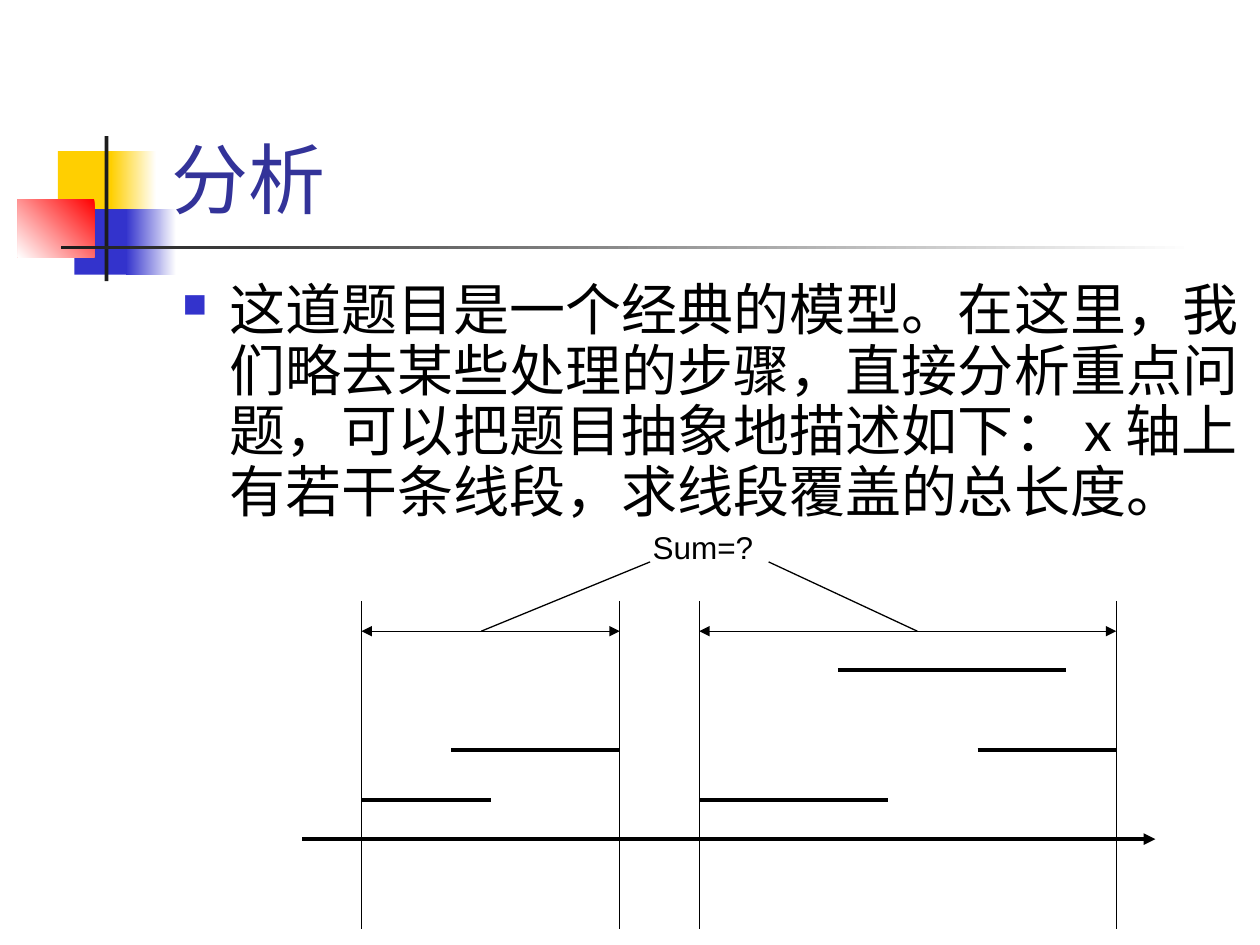
from lxml import etree
from pptx import Presentation
from pptx.dml.color import RGBColor
from pptx.enum import shapes, text
from pptx.oxml.ns import qn
from pptx.util import Pt

WHITE = RGBColor(0xFF, 0xFF, 0xFF)
BLACK = RGBColor(0, 0, 0)
YELLOW = RGBColor(0xFF, 0xCF, 0x01)
BLUE = RGBColor(0x33, 0x33, 0xCC)
RED = RGBColor(0xFF, 0, 0)
CHARCOAL = RGBColor(0x1C, 0x1C, 0x1C)
TITLE_BLUE = RGBColor(0x33, 0x33, 0x99)

THIN, THICK = 0.75, 2.25

# Horizontal extent of each covered stretch, and the segments (left, right, y) inside
STRETCHES = [(206.6, 354.2), (399.6, 637.9)]
SEGMENTS = [
    (206.6, 280.8, 457.2),
    (257.8, 354.2, 428.4),
    (399.6, 507.6, 457.2),
    (478.8, 609.1, 383),
    (558.7, 637.9, 428.4),
]
GUIDE_TOP, GUIDE_BOTTOM = 343.4, 530.6
SPAN_Y, AXIS_Y = 360.7, 479.5
LABEL_LEFT, LABEL_RIGHT, LABEL_BOTTOM = 371.5, 439.2, 321.1


def add_block(slide, left, top, width, height, color, fade_to=None, angle=180):
    """Rectangle in one colour, or fading from color to fade_to (angle anticlockwise)."""
    block = slide.shapes.add_shape(
        shapes.MSO_SHAPE.RECTANGLE, Pt(left), Pt(top), Pt(width), Pt(height))
    block.shadow.inherit = False
    block.line.fill.background()
    if fade_to is None:
        block.fill.solid()
        block.fill.fore_color.rgb = color
        return
    block.fill.gradient()
    block.fill.gradient_angle = angle
    for stop, stop_color in zip(block.fill.gradient_stops, (color, fade_to)):
        stop.color.rgb = stop_color


def add_line(slide, start, end, width, head=False, tail=False):
    line = slide.shapes.add_connector(
        shapes.MSO_CONNECTOR.STRAIGHT, *(Pt(value) for value in (*start, *end)))
    line.line.color.rgb = BLACK
    line.line.width = Pt(width)
    outline = line.line._get_or_add_ln()
    for tag, wanted in (("a:headEnd", head), ("a:tailEnd", tail)):
        if wanted:
            etree.SubElement(outline, qn(tag), type="triangle")
    etree.SubElement(line._element.spPr, qn("a:effectLst"))


def write_text(shape, content, *, size, color, font="Lato", spacing=None, bullet=None,
               anchor=text.MSO_ANCHOR.TOP, fit=text.MSO_AUTO_SIZE.NONE):
    frame = shape.text_frame
    frame.word_wrap = True
    frame.auto_size = fit
    frame.vertical_anchor = anchor
    paragraph = frame.paragraphs[0]
    paragraph.text = content
    paragraph.alignment = text.PP_ALIGN.LEFT
    paragraph.space_before = Pt(0)
    if spacing:
        paragraph.line_spacing = spacing
    if bullet:
        add_bullet(paragraph, bullet)
    paragraph.font.name = font
    paragraph.font.size = Pt(size)
    paragraph.font.color.rgb = color


def add_bullet(paragraph, color):
    properties = paragraph._p.get_or_add_pPr()
    properties.set("marL", str(Pt(27)))
    properties.set("indent", str(-Pt(27)))
    bullet_color = etree.SubElement(properties, qn("a:buClr"))
    etree.SubElement(bullet_color, qn("a:srgbClr"), val=str(color))
    etree.SubElement(properties, qn("a:buSzPct"), val="60000")
    etree.SubElement(properties, qn("a:buChar"), char="■")


def add_text(slide, left, top, width, height, content, **style):
    box = slide.shapes.add_textbox(Pt(left), Pt(top), Pt(width), Pt(height))
    write_text(box, content, **style)


def add_decoration(slide):
    add_block(slide, 33.1, 86.4, 34.6, 37.4, YELLOW)
    add_block(slide, 63.4, 86.4, 25.9, 37.4, WHITE, YELLOW)
    add_block(slide, 42.5, 119.5, 33.1, 37.4, BLUE)
    add_block(slide, 72, 119.5, 28.8, 37.4, WHITE, BLUE)
    add_block(slide, 10.1, 113.8, 43.9, 33.1, RED, WHITE, angle=225)
    add_block(slide, 59.8, 77.8, 2.2, 82.8, CHARCOAL)
    add_block(slide, 34.6, 140.4, 648, 2.2, WHITE, CHARCOAL)


def add_title(slide, content):
    title = slide.shapes.title
    title.left, title.top = Pt(90.7), Pt(16.6)
    title.width, title.height = Pt(613.4), Pt(115.2)
    write_text(title, content, size=44, color=TITLE_BLUE, anchor=text.MSO_ANCHOR.BOTTOM)


def add_segment_diagram(slide):
    for left, right in STRETCHES:
        for x in (left, right):
            add_line(slide, (x, GUIDE_TOP), (x, GUIDE_BOTTOM), THIN)
        add_line(slide, (left, SPAN_Y), (right, SPAN_Y), THIN, head=True, tail=True)
    add_line(slide, (172.8, AXIS_Y), (660.2, AXIS_Y), THICK, tail=True)
    for left, right, y in SEGMENTS:
        add_line(slide, (left, y), (right, y), THICK)
    add_text(slide, 365.8, 298.1, 73.4, 28.8, "Sum=?", size=18, color=BLACK,
             font="Arial", fit=text.MSO_AUTO_SIZE.SHAPE_TO_FIT_TEXT)
    add_line(slide, (275, SPAN_Y), (LABEL_LEFT, LABEL_BOTTOM), THIN)
    add_line(slide, (524.2, SPAN_Y), (LABEL_RIGHT, LABEL_BOTTOM), THIN)


def main():
    deck = Presentation()
    deck.slide_width, deck.slide_height = Pt(720), Pt(540)
    slide = deck.slides.add_slide(deck.slide_layouts[5])
    add_decoration(slide)
    add_title(slide, "分析")
    add_text(slide, 97.2, 157.7, 648, 152.6,
             "这道题目是一个经典的模型。在这里，我们略去某些处理的步骤，直接分析重点问题，"
             "可以把题目抽象地描述如下：x轴上有若干条线段，求线段覆盖的总长度。",
             size=32, color=BLACK, spacing=0.9, bullet=BLUE)
    add_segment_diagram(slide)
    deck.save("out.pptx")


if __name__ == "__main__":
    main()
